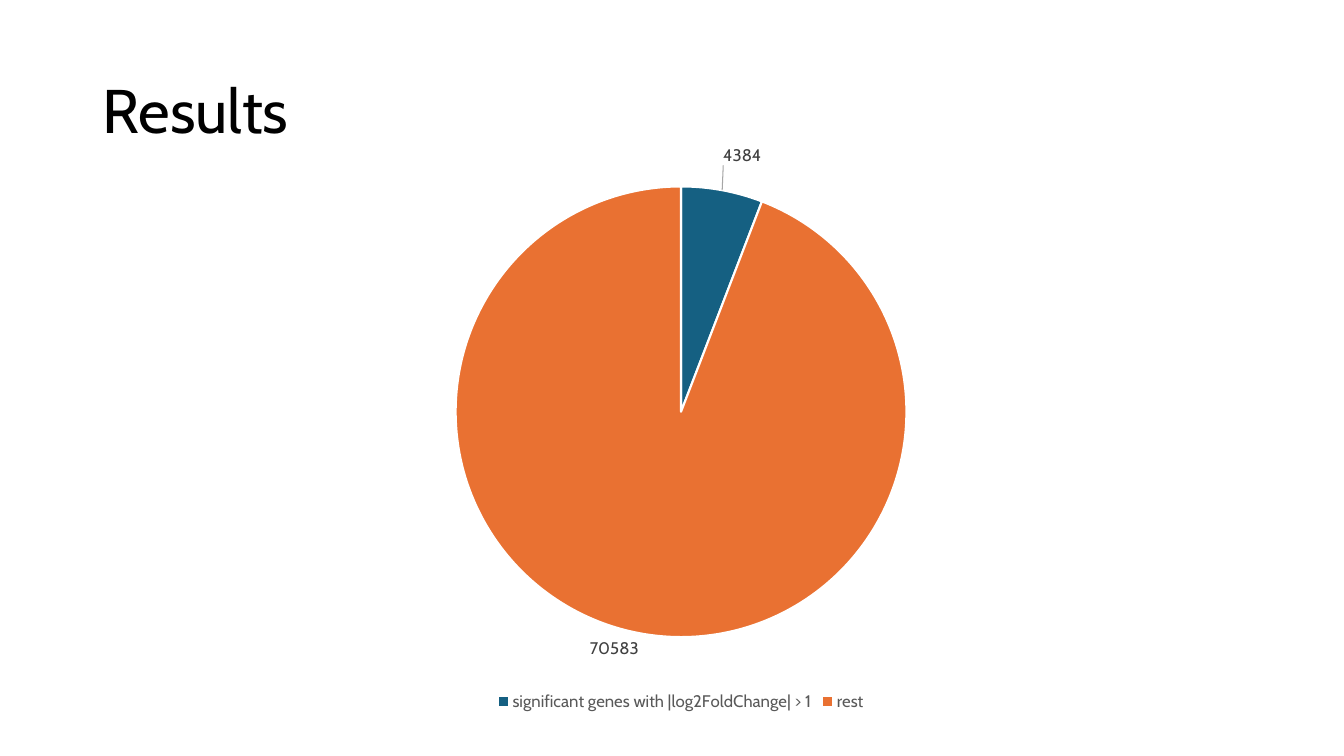
from lxml.etree import SubElement
from pptx import Presentation
from pptx.chart.data import CategoryChartData
from pptx.dml.color import RGBColor
from pptx.enum.chart import XL_CHART_TYPE, XL_LABEL_POSITION, XL_LEGEND_POSITION
from pptx.enum.text import MSO_ANCHOR
from pptx.oxml import parse_xml
from pptx.oxml.ns import nsdecls, qn
from pptx.util import Inches, Pt

FONT = "Cabin"
GENES = {"significant genes with |log2FoldChange| > 1": 4384, "rest": 70583}
SLICE_COLORS = ["156082", "E97132"]
PIE_AREA = {"layoutTarget": "inner", "xMode": "edge", "yMode": "edge",
            "x": 0.33, "y": 0.16, "w": 0.34, "h": 0.72}
LABEL_SHIFT = {"x": 0, "y": -0.03}


def rgb(value):
    return RGBColor.from_string(value)


def set_font(font, size, color):
    for key, value in {"name": FONT, "size": Pt(size), "bold": False}.items():
        setattr(font, key, value)
    font.color.rgb = rgb(color)


def add_title(s, text):
    tf = s.shapes.add_textbox(Inches(0.92), Inches(0.4), Inches(11.5), Inches(1.45)).text_frame
    for key, value in {"word_wrap": True, "vertical_anchor": MSO_ANCHOR.MIDDLE}.items():
        setattr(tf, key, value)
    p = tf.paragraphs[0]
    p.line_spacing = 0.9
    r = p.add_run()
    r.text = text
    set_font(r.font, 44, "000000")


def make_layout(values):
    layout = parse_xml(f"<c:layout {nsdecls('c')}/>")
    manual = SubElement(layout, qn("c:manualLayout"))
    for key, value in values.items():
        SubElement(manual, qn(f"c:{key}")).set("val", str(value))
    return layout


def set_plot_layout(chart, values):
    area = chart.plots[0]._element.getparent()
    for old in area.findall(qn("c:layout")):
        area.remove(old)
    area.insert(0, make_layout(values))


def add_labels(series):
    labels = series.data_labels
    formats = {"show_value": True, "position": XL_LABEL_POSITION.OUTSIDE_END}
    for key, value in formats.items():
        setattr(labels, key, value)
    set_font(labels.font, 12, "404040")
    label = series.points[0].data_label
    label.position = XL_LABEL_POSITION.OUTSIDE_END
    set_font(label.font, 12, "404040")
    dLbls = labels._element
    dLbls.find(qn("c:dLbl")).insert(1, make_layout(LABEL_SHIFT))
    dLbls.append(parse_xml(
        f"<c:leaderLines {nsdecls('c', 'a')}><c:spPr><a:ln w='9525'><a:solidFill>"
        "<a:srgbClr val='A6A6A6'/></a:solidFill></a:ln></c:spPr></c:leaderLines>"))


def add_pie(s):
    data = CategoryChartData()
    data.categories = list(GENES)
    data.add_series("", list(GENES.values()))
    chart = s.shapes.add_chart(XL_CHART_TYPE.PIE, Inches(0.18), Inches(0.82),
                               Inches(13.15), Inches(6.28), data).chart
    set_font(chart.font, 10, "000000")
    for key, value in {"has_title": False, "has_legend": True}.items():
        setattr(chart, key, value)
    legend = chart.legend
    for key, value in {"position": XL_LEGEND_POSITION.BOTTOM, "include_in_layout": False}.items():
        setattr(legend, key, value)
    set_font(legend.font, 12, "595959")
    plot = chart.plots[0]
    plot.vary_by_categories = True
    for i, color in enumerate(SLICE_COLORS):
        fmt = plot.series[0].points[i].format
        fmt.fill.solid()
        fmt.fill.fore_color.rgb = rgb(color)
        fmt.line.color.rgb = rgb("FFFFFF")
        fmt.line.width = Pt(1.5)
    add_labels(plot.series[0])
    set_plot_layout(chart, PIE_AREA)


def main():
    prs = Presentation()
    prs.slide_width, prs.slide_height = Inches(13.33), Inches(7.5)
    s = prs.slides.add_slide(prs.slide_layouts[6])
    add_title(s, "Results")
    add_pie(s)
    prs.save("out.pptx")


if __name__ == "__main__":
    main()
